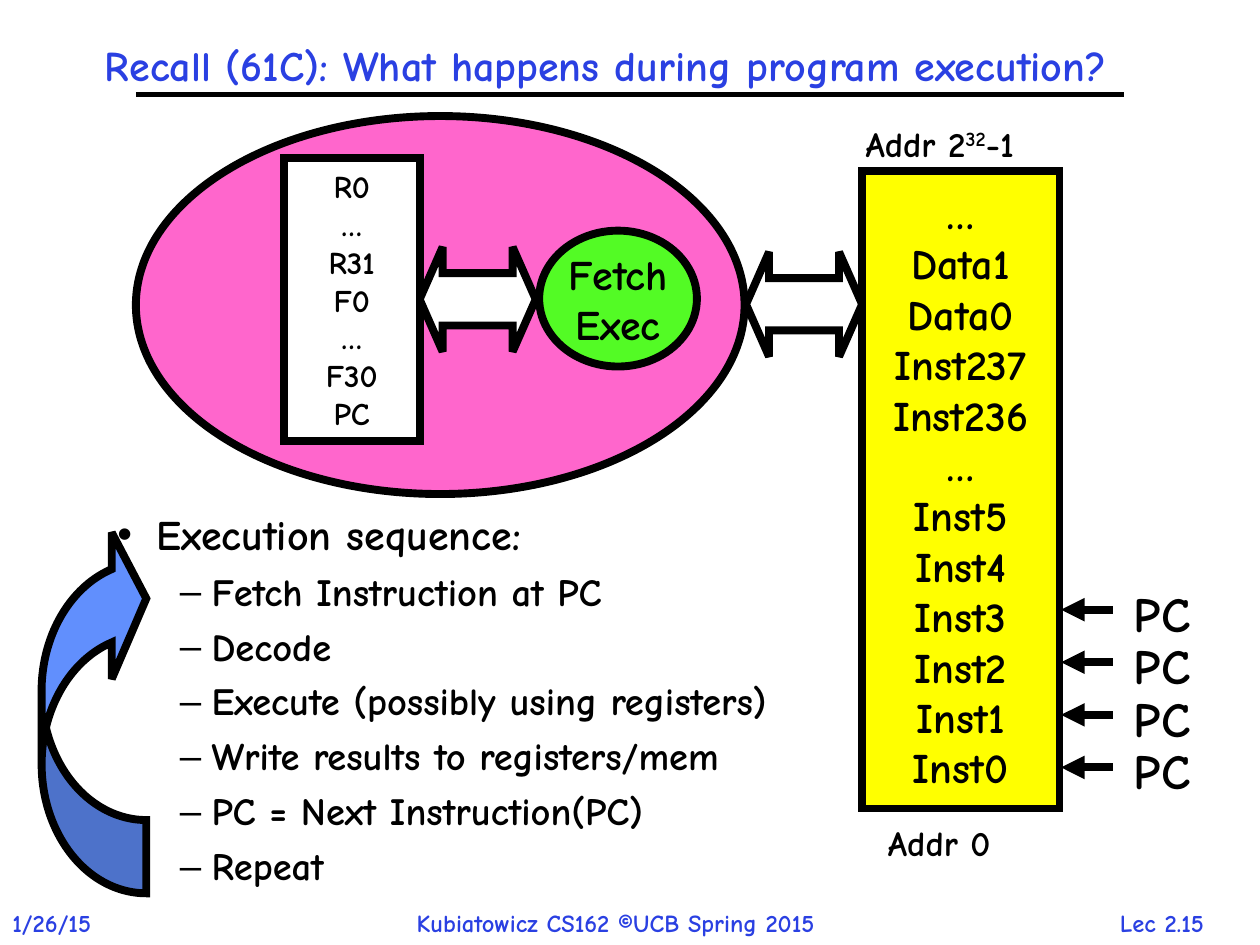
from dataclasses import dataclass

from lxml import etree
from pptx import Presentation
from pptx import util as u
from pptx.dml.color import RGBColor
from pptx.enum import shapes as kinds, text as t
from pptx.oxml.ns import qn


@dataclass(frozen=True)
class Theme:
    font: str = "Comic Neue"
    ink: str = "000000"
    accent: str = "2A40E2"
    white: str = "FFFFFF"
    processor: str = "FF66CC"
    execute: str = "53FB25"
    memory: str = "FFFF00"
    loop: str = "618FFD"
    footer_size: float = 14
    register_size: float = 18
    address_size: float = 20
    step_size: float = 22
    main_size: float = 24
    pointer_size: float = 28
    rule_width: float = 3
    outline_width: float = 4.5


def cm_box(box):
    return [u.Cm(length) for length in box]


class SlideBuilder:
    def __init__(self, slide, theme):
        self.slide = slide
        self.theme = theme

    def run(self, paragraph, words, size, color=None):
        run = paragraph.add_run()
        run.text = words
        font = run.font
        font.name, font.size, font.bold = self.theme.font, u.Pt(size), True
        font.color.rgb = RGBColor.from_string(color or self.theme.ink)
        return run

    def lines(self, frame, lines, size):
        """Write one centred paragraph per line; a newline is a soft break."""
        frame.word_wrap = False
        frame.vertical_anchor = t.MSO_ANCHOR.MIDDLE
        for index, line in enumerate(lines):
            paragraph = frame.add_paragraph() if index else frame.paragraphs[0]
            paragraph.alignment = t.PP_ALIGN.CENTER
            for part_index, part in enumerate(line.split("\n")):
                if part_index:
                    paragraph.add_line_break()
                self.run(paragraph, part, size)

    def shape(self, kind, box, fill, lines=(), size=None, adjustments=()):
        shape = self.slide.shapes.add_shape(kind, *cm_box(box))
        shape.shadow.inherit = False
        shape.fill.solid()
        shape.fill.fore_color.rgb = RGBColor.from_string(fill)
        shape.line.color.rgb = RGBColor.from_string(self.theme.ink)
        shape.line.width = u.Pt(self.theme.outline_width)
        outline = shape.line._get_or_add_ln()
        etree.SubElement(outline, qn("a:miter"), lim="800000")
        for index, value in enumerate(adjustments):
            shape.adjustments[index] = value
        self.lines(shape.text_frame, lines, size)
        return shape

    def exchange_arrow(self, left, top):
        return self.shape(kinds.MSO_SHAPE.LEFT_RIGHT_ARROW, (left, top, 2.34, 2.11),
                          self.theme.white, adjustments=(0.5, 0.22))

    def label(self, words, box, size, color=None, align=None):
        label = self.slide.shapes.add_textbox(*cm_box(box))
        frame = label.text_frame
        frame.word_wrap = False
        frame.auto_size = t.MSO_AUTO_SIZE.SHAPE_TO_FIT_TEXT
        frame.paragraphs[0].alignment = align
        self.run(frame.paragraphs[0], words, size, color)
        return label

    def line(self, start, end, width, arrow=False):
        line = self.slide.shapes.add_connector(
            kinds.MSO_CONNECTOR.STRAIGHT, *cm_box(start + end))
        line.line.color.rgb = RGBColor.from_string(self.theme.ink)
        line.line.width = u.Pt(width)
        if arrow:
            etree.SubElement(line.line._get_or_add_ln(), qn("a:tailEnd"), type="triangle")
        etree.SubElement(line._element.spPr, qn("a:effectLst"))
        return line

    def group(self, *members):
        self.slide.shapes.add_group_shape(members)

    def placeholder(self, holder, box, anchor):
        holder.left, holder.top, holder.width, holder.height = cm_box(box)
        frame = holder.text_frame
        frame.word_wrap = True
        frame.auto_size = t.MSO_AUTO_SIZE.NONE
        frame.vertical_anchor = anchor
        return frame

    def title(self, words, box):
        frame = self.placeholder(self.slide.shapes.title, box, t.MSO_ANCHOR.MIDDLE)
        heading = frame.paragraphs[0]
        heading.alignment = t.PP_ALIGN.CENTER
        heading.line_spacing = 0.9
        self.run(heading, words, self.theme.main_size, self.theme.accent)

    def bullet(self, paragraph, words, size, mark, margin, hanging):
        paragraph.line_spacing = 0.9
        properties = paragraph._p.get_or_add_pPr()
        properties.set("marL", str(u.Cm(margin)))
        properties.set("indent", str(-u.Cm(hanging)))
        etree.SubElement(properties, qn("a:buChar"), char=mark)
        self.run(paragraph, words, size)

    def sequence(self, heading, steps, box):
        frame = self.placeholder(self.slide.placeholders[1], box, t.MSO_ANCHOR.TOP)
        frame.paragraphs[0].space_before = u.Pt(0)
        self.bullet(frame.paragraphs[0], heading, self.theme.main_size, "•", 0.79, 0.79)
        for step in steps:
            paragraph = frame.add_paragraph()
            paragraph.level = 1
            paragraph.space_before = u.Pt(7.6)
            self.bullet(paragraph, step, self.theme.step_size, "–", 1.9, 0.64)


def main():
    deck = Presentation()
    deck.slide_width, deck.slide_height = u.Cm(25.4), u.Cm(19.05)
    theme = Theme()
    page = SlideBuilder(deck.slides.add_slide(deck.slide_layouts[1]), theme)
    preset = kinds.MSO_SHAPE

    page.title("Recall (61C): What happens during program execution?",
               (0.08, 0.64, 24.26, 1.47))
    page.line((2.74, 1.9), (22.66, 1.9), theme.rule_width)
    page.sequence("Execution sequence:",
                  ["Fetch Instruction at PC", "Decode",
                   "Execute (possibly using registers)",
                   "Write results to registers/mem",
                   "PC = Next Instruction(PC)", "Repeat"],
                  (2.11, 10.24, 15.88, 8.26))

    for words, left, width, align in [
            ("1/26/15", 0, 2.54, None),
            ("Kubiatowicz CS162 ©UCB Spring 2015", 8.15, 9.83, None),
            ("Lec 2.15", 21.89, 3.07, t.PP_ALIGN.CENTER)]:
        page.label(words, (left, 18.19, width, 0.86), theme.footer_size,
                   theme.accent, align)

    page.group(
        page.shape(preset.OVAL, (2.74, 2.34, 12.27, 7.62), theme.processor),
        page.shape(preset.OVAL, (10.87, 4.65, 3.18, 2.74), theme.execute,
                   ["Fetch", "Exec"], theme.main_size),
        page.exchange_arrow(8.46, 4.98),
        page.shape(preset.RECTANGLE, (5.72, 3.18, 2.74, 5.72), theme.white,
                   ["R0", "…", "R31", "F0", "…", "F30", "PC"], theme.register_size))

    page.exchange_arrow(15.04, 5.08)
    page.shape(preset.RECTANGLE, (17.37, 3.45, 3.99, 12.85), theme.memory,
               ["…", "Data1", "Data0", "Inst237", "Inst236", "…", "Inst5",
                "Inst4", "Inst3", "Inst2\nInst1", "Inst0"], theme.main_size)
    page.label("Addr 0", (17.65, 16.43, 2.92, 1.09), theme.address_size)
    top_address = page.label("Addr 2", (17.2, 2.34, 4.34, 1.09), theme.address_size)
    address_text = top_address.text_frame.paragraphs[0]
    exponent = page.run(address_text, "32", theme.address_size)
    exponent.font._element.set("baseline", "30000")
    page.run(address_text, "-1", theme.address_size)

    for step in reversed(range(4)):
        top = 11.63 + 1.06 * step
        page.group(
            page.label("PC", (22.61, top, 1.65, 1.45), theme.pointer_size),
            page.line((22.43, top + 0.66), (21.39, top + 0.66),
                      theme.outline_width, arrow=True))

    repeat_loop = page.shape(preset.CURVED_RIGHT_ARROW, (0.84, 10.59, 2.11, 7.42),
                             theme.loop, adjustments=(0.7, 1.4, 0.33))
    repeat_loop._element.spPr.find(qn("a:xfrm")).set("flipV", "1")

    deck.save("out.pptx")


if __name__ == "__main__":
    main()
